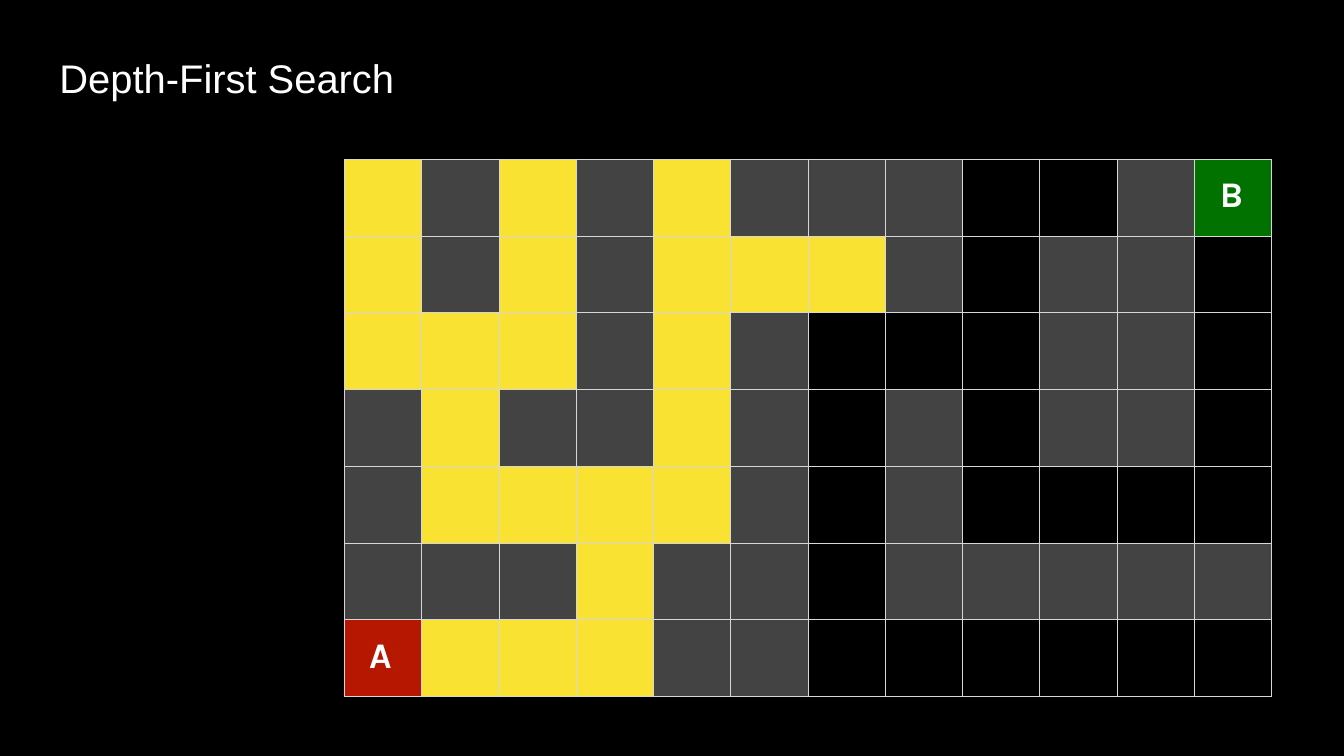
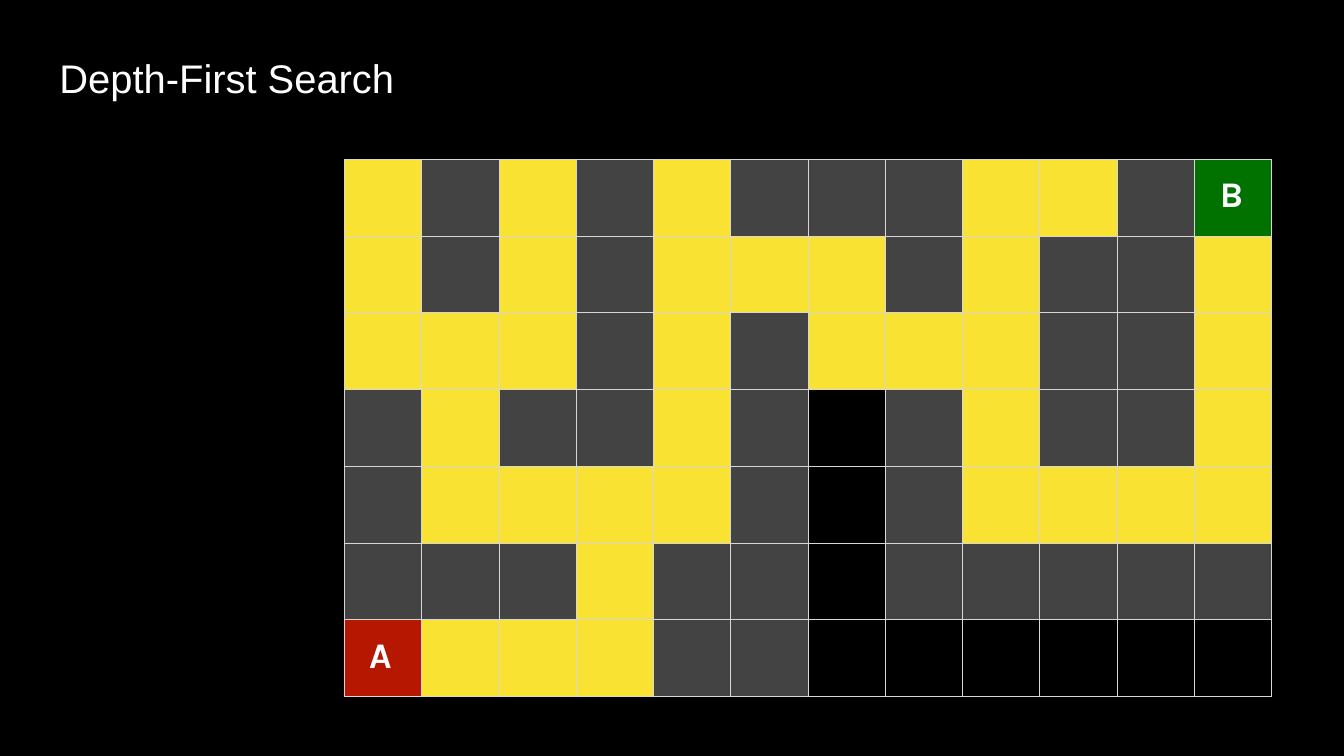
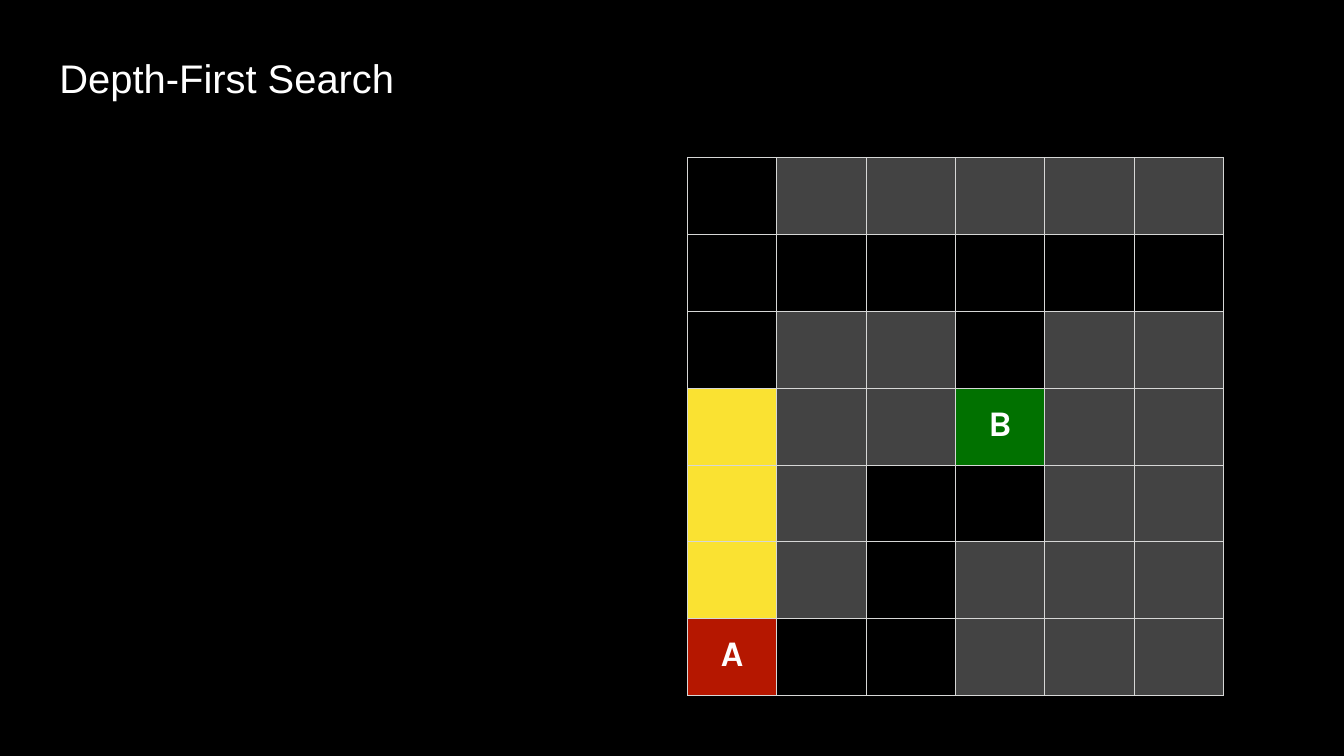
from lxml.etree import SubElement
from pptx import Presentation
from pptx.dml.color import RGBColor
from pptx.enum.text import MSO_ANCHOR, MSO_AUTO_SIZE, PP_ALIGN
from pptx.oxml.ns import qn
from pptx.util import Cm, Pt

BLACK, WHITE, BORDER = "000000", "FFFFFF", "D6D7D6"
WALL, EXPLORED, START, GOAL = "434343", "FAE232", "B51700", "017100"
FILLS = {"#": WALL, "A": START, "B": GOAL}
INDENTS = {"A": 1.02, "B": 1.06}

LARGE_MAZE = [
    "1#1#1###22#B",
    "1#1#111#2##2",
    "111#1#222##2",
    "#1##1#.#2##2",
    "#1111#.#2222",
    "###1##.#####",
    "A111##......",
]
SMALL_MAZE = [
    ".#####",
    "......",
    ".##.##",
    "1##B##",
    "1#..##",
    "1#.###",
    "A..###",
]


def rgb(color):
    return RGBColor.from_string(color)


class Deck:
    def __init__(self):
        self.prs = Presentation()
        self.prs.slide_width, self.prs.slide_height = Cm(55.85), Cm(31.42)
        self.s = None

    def backdrop(self):
        width, height = self.prs.slide_width, self.prs.slide_height
        outline = self.s.shapes.build_freeform(width, 0)
        outline.add_line_segments([(0, 0), (0, height), (width, height)])
        sp = outline.convert_to_shape()
        sp.shadow.inherit = False
        sp.fill.solid()
        sp.fill.fore_color.rgb = rgb(BLACK)
        sp.line.fill.background()
        self.prs.slide_master.shapes._spTree.insert(2, sp._element)

    def slide(self, title):
        self.s = self.prs.slides.add_slide(self.prs.slide_layouts[5])
        if len(self.prs.slides) == 1:
            self.backdrop()
        sp = self.s.shapes.title
        sp.left, sp.top, sp.width, sp.height = Cm(1.73), Cm(1.09), Cm(32.84), Cm(4.52)
        tf = sp.text_frame
        tf.word_wrap = True
        tf.auto_size = MSO_AUTO_SIZE.NONE
        tf.vertical_anchor = MSO_ANCHOR.TOP
        tf.margin_left = tf.margin_right = tf.margin_bottom = 0
        tf.margin_top = Cm(1.12)
        self.text(tf.paragraphs[0], title, "Arial", 47, indent=0.74)

    def text(self, p, text, font, size, bold=False, indent=0, align=PP_ALIGN.LEFT):
        p.alignment = align
        pPr = p._p.get_or_add_pPr()
        pPr.set("marL", str(Cm(indent)))
        pPr.set("indent", "0")
        r = p.add_run()
        r.text = text
        r.font.name, r.font.size, r.font.bold = font, Pt(size), bold
        r.font.color.rgb = rgb(WHITE)

    def borders(self, cell):
        tcPr = cell._tc.get_or_add_tcPr()
        for i, side in enumerate(("lnL", "lnR", "lnT", "lnB")):
            ln = SubElement(tcPr, qn(f"a:{side}"), w=str(Pt(1)))
            fill = SubElement(ln, qn("a:solidFill"))
            SubElement(fill, qn("a:srgbClr"), val=BORDER)
            tcPr.remove(ln)
            tcPr.insert(i, ln)

    def maze(self, rows, left, top, col_width, step=1, centred=False):
        row_height = 3.19
        n_rows, n_cols = len(rows), len(rows[0])
        table = self.s.shapes.add_table(
            n_rows, n_cols, Cm(left), Cm(top),
            Cm(n_cols * col_width), Cm(n_rows * row_height)).table
        table.first_row = table.horz_banding = False
        for col in table.columns:
            col.width = Cm(col_width)
        for row, marks in zip(table.rows, rows):
            row.height = Cm(row_height)
            for cell, mark in zip(row.cells, marks):
                self.cell(cell, mark, step, centred)

    def cell(self, cell, mark, step, centred):
        explored = mark.isdigit() and int(mark) <= step
        color = EXPLORED if explored else FILLS.get(mark)
        if color:
            cell.fill.solid()
            cell.fill.fore_color.rgb = rgb(color)
        else:
            cell.fill.background()
        self.borders(cell)
        if mark in INDENTS:
            cell.margin_left = cell.margin_right = cell.margin_bottom = 0
            cell.margin_top = Cm(0.64)
            indent = 0 if centred else INDENTS[mark]
            align = PP_ALIGN.CENTER if centred else PP_ALIGN.LEFT
            self.text(cell.text_frame.paragraphs[0], mark, "Karla", 42.5,
                      True, indent, align)


def main():
    deck = Deck()
    title = "Depth-First Search"
    for step in (1, 2):
        deck.slide(title)
        deck.maze(LARGE_MAZE, 14.32, 6.62, 3.21, step)
    deck.slide(title)
    deck.maze(SMALL_MAZE, 28.57, 6.56, 3.71, centred=True)
    deck.prs.save("out.pptx")


if __name__ == "__main__":
    main()
